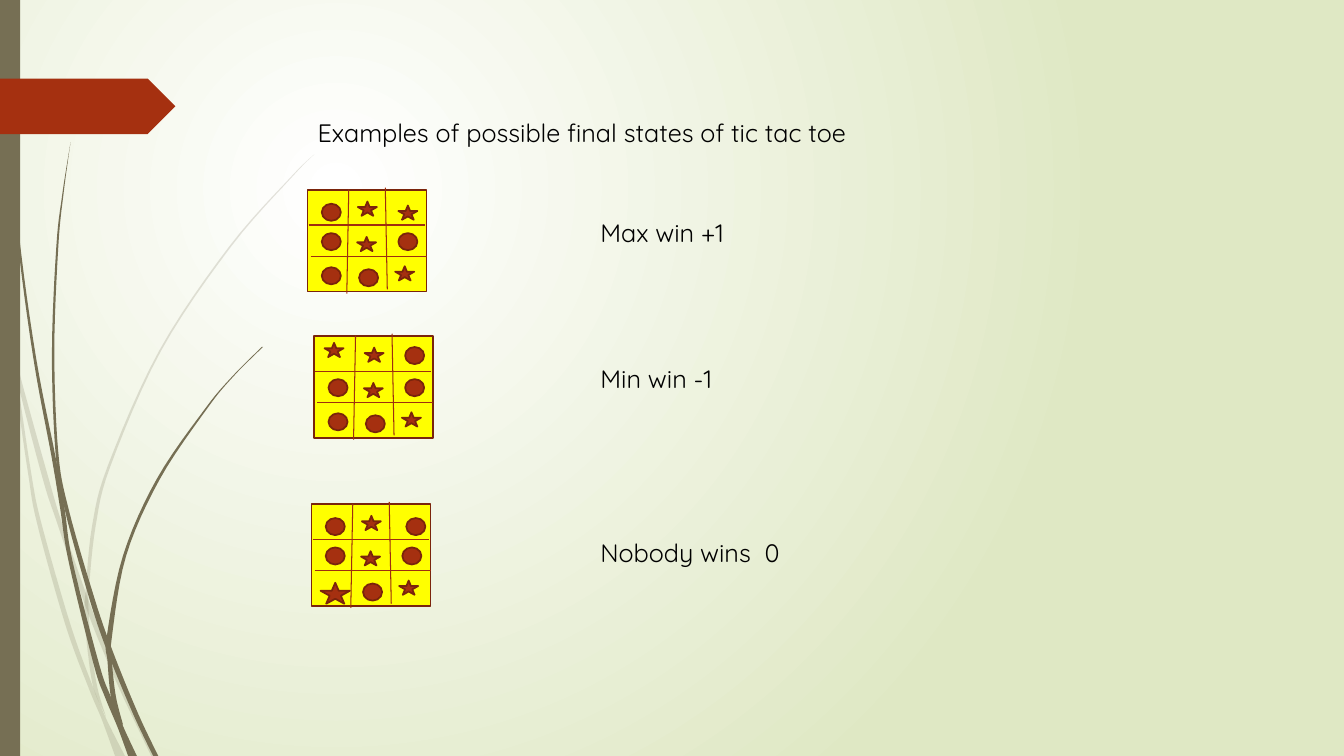
from dataclasses import dataclass, field

from lxml import etree
from pptx import Presentation
from pptx.dml.color import RGBColor
from pptx.enum import shapes as sh, text
from pptx.oxml import ns
from pptx.util import Cm, Pt

COLORS = {
    "paper": "FFFFFF", "sage": "DFE8C4", "olive": "766F54", "rust": "A53010",
    "outline": "7A240C", "grid": "9E2E0F", "board": "FFFF00", "text": "000000",
}
FONT = "Quicksand"
KIND = sh.MSO_SHAPE

# Board geometry, relative to the board's top left corner (cm)
BOARD_SIZE = (3.0, 2.57)
GRID_LINES = [
    (1.04, 0, 0.99, 2.62), (1.96, -0.05, 2.01, 2.51),
    (0.03, 0.89, 2.95, 0.89), (0.08, 1.68, 3.0, 1.68),
]
CELL_CENTERS = [
    (0.6, 0.57), (1.51, 0.48), (2.53, 0.58),
    (0.6, 1.31), (1.49, 1.37), (2.53, 1.31),
    (0.6, 2.17), (1.54, 2.22), (2.45, 2.11),
]


@dataclass
class Mark:
    kind: sh.MSO_SHAPE
    width: float
    height: float


@dataclass
class Board:
    left: float
    top: float
    marks: str
    label: str
    label_top: float
    moved: dict[int, tuple[float, float]] = field(default_factory=dict)


@dataclass
class Blade:
    """A grass blade: rows of (y, left edge, right edge) in cm, from tip to root."""
    rows: list[tuple[float, float, float]]
    opacity: int = 100


MARKS = {
    "O": Mark(KIND.OVAL, 0.48, 0.43),
    "X": Mark(KIND.STAR_5_POINT, 0.48, 0.36),
    "L": Mark(KIND.STAR_5_POINT, 0.74, 0.53),
}
BOARDS = [
    Board(7.75, 4.78, "OXXOXOOOX", "Max win +1", 5.36),
    Board(7.92, 8.46, "XXOOXOOOX", "Min win -1", 9.02, {0: (0.5, 0.36), 2: (2.53, 0.5)}),
    Board(7.85, 12.7, "OXOOXOLOX", "Nobody wins  0", 13.41, {2: (2.63, 0.57), 6: (0.6, 2.25)}),
]
BLADES = [
    Blade([(7.37, 0, 0.05), (8.89, 0.25, 0.3), (9.55, 0.36, 0.43), (11.94, 0.71, 0.79),
           (13.21, 0.94, 1.05), (15.75, 1.65, 1.78), (17.35, 2.24, 2.36),
           (18.14, 2.57, 2.69), (19.05, 2.9, 3.15)], 20),
    Blade([(8.76, 0.36, 0.36), (9.55, 0.43, 0.53), (12.04, 1.07, 1.22), (13.21, 1.45, 1.57),
           (15.21, 2.13, 2.26), (16.51, 2.64, 2.79), (17.6, 3.12, 3.25),
           (19.05, 3.81, 3.94)], 20),
    Blade([(3.89, 7.92, 7.92), (4.45, 7.34, 7.37), (6.22, 5.77, 5.82), (8.84, 4.01, 4.06),
           (11.73, 2.72, 2.79), (13.26, 2.32, 2.41), (14.88, 2.16, 2.24), (15.49, 2.13, 2.24),
           (16.41, 2.21, 2.31), (17.35, 2.36, 2.46), (18.06, 2.67, 2.67)], 20),
    Blade([(2.79, 0.18, 0.2), (5.92, 0.43, 0.48), (9.02, 0.84, 0.91), (11.51, 1.3, 1.4),
           (12.83, 1.52, 1.63), (14.15, 1.73, 1.83), (16.74, 2.36, 2.5), (17.55, 2.64, 2.79),
           (18.34, 2.97, 3.12), (19.05, 3.23, 3.45)]),
    Blade([(3.58, 1.78, 1.78), (4.9, 1.57, 1.6), (6.22, 1.42, 1.47), (8.86, 1.31, 1.37),
           (11.4, 1.4, 1.47), (12.83, 1.63, 1.73), (15.04, 2.24, 2.37), (16.38, 2.69, 2.83),
           (17.98, 3.35, 3.48), (19.05, 3.86, 3.99)]),
    Blade([(8.74, 6.6, 6.63), (9.5, 5.84, 5.87), (10.31, 5.16, 5.21), (12.07, 3.95, 4.03),
           (14.0, 3.1, 3.18), (16.05, 2.69, 2.82), (16.66, 2.71, 2.82), (17.55, 2.79, 2.92),
           (18.26, 2.95, 3.1)]),
]


def rgb(name: str) -> RGBColor:
    return RGBColor.from_string(COLORS[name])


def paint(sp, fill: str, line: str | None = None, width: float = 1.25) -> None:
    sp.shadow.inherit = False
    sp.fill.solid()
    sp.fill.fore_color.rgb = rgb(fill)
    if line:
        sp.line.color.rgb = rgb(line)
        sp.line.width = Pt(width)
    else:
        sp.line.fill.background()


def add_shape(shapes, kind, left: float, top: float, width: float, height: float,
              fill: str, line: str | None = None) -> None:
    sp = shapes.add_shape(kind, Cm(left), Cm(top), Cm(width), Cm(height))
    paint(sp, fill, line)


def set_text(sp, content: str, *, left: float, top: float, width: float,
             height: float = 1.02, size: float = 18) -> None:
    sp.left, sp.top, sp.width, sp.height = Cm(left), Cm(top), Cm(width), Cm(height)
    tf = sp.text_frame
    tf.word_wrap = True
    tf.auto_size = text.MSO_AUTO_SIZE.SHAPE_TO_FIT_TEXT
    tf.vertical_anchor = text.MSO_ANCHOR.TOP
    p = tf.paragraphs[0]
    p.alignment = text.PP_ALIGN.LEFT
    r = p.add_run()
    r.text = content
    r.font.name, r.font.size, r.font.color.rgb = FONT, Pt(size), rgb("text")


def set_background(s) -> None:
    """Radial gradient centred in the upper left quarter."""
    fill = s.background.fill
    fill.gradient()
    for stop, name in zip(fill.gradient_stops, ("paper", "sage")):
        stop.color.rgb = rgb(name)
    grad = s.element.xpath(".//a:gradFill")[0]
    grad.remove(grad.find(ns.qn("a:lin")))
    circle = etree.SubElement(grad, ns.qn("a:path"), {"path": "circle"})
    etree.SubElement(circle, ns.qn("a:fillToRect"),
                     {"l": "50000", "t": "50000", "r": "100000", "b": "100000"})


def smooth(rows: list[tuple[float, ...]], steps: int = 6) -> list[tuple[float, ...]]:
    """Catmull-Rom curve through the rows."""
    ends = [rows[0], *rows, rows[-1]]
    curve = []
    for quad in zip(ends, ends[1:], ends[2:], ends[3:]):
        for t in (i / steps for i in range(steps)):
            curve.append(tuple(
                b + t * (c - a) / 2 + t**2 * (2*a - 5*b + 4*c - d) / 2
                + t**3 * (3*b - a - 3*c + d) / 2
                for a, b, c, d in zip(*quad)))
    return curve + [rows[-1]]


def add_blade(shapes, blade: Blade) -> None:
    rows = smooth(blade.rows)
    outline = [(Cm(left), Cm(y)) for y, left, _ in rows]
    outline += [(Cm(right), Cm(y)) for y, _, right in reversed(rows)]
    fb = shapes.build_freeform(*outline[0])
    fb.add_line_segments(outline[1:], close=True)
    sp = fb.convert_to_shape()
    paint(sp, "olive")
    if blade.opacity < 100:
        color = sp.element.spPr.find(".//" + ns.qn("a:srgbClr"))
        etree.SubElement(color, ns.qn("a:alpha"), {"val": str(blade.opacity * 1000)})


def add_board(shapes, board: Board) -> None:
    group = shapes.add_group_shape().shapes
    x, y = board.left, board.top
    add_shape(group, KIND.RECTANGLE, x, y, *BOARD_SIZE, "board", "outline")
    for x1, y1, x2, y2 in GRID_LINES:
        ln = group.add_connector(sh.MSO_CONNECTOR.STRAIGHT,
                                 Cm(x + x1), Cm(y + y1), Cm(x + x2), Cm(y + y2))
        ln.line.color.rgb, ln.line.width = rgb("grid"), Pt(0.75)
        etree.SubElement(ln.element.spPr, ns.qn("a:effectLst"))
    for cell, symbol in enumerate(board.marks):
        mark = MARKS[symbol]
        cx, cy = board.moved.get(cell, CELL_CENTERS[cell])
        add_shape(group, mark.kind, x + cx - mark.width / 2, y + cy - mark.height / 2,
                  mark.width, mark.height, "rust", "outline")
    label = shapes.add_textbox(0, 0, 0, 0)
    set_text(label, board.label, left=14.88, top=board.label_top, width=8.86)


def main() -> None:
    prs = Presentation()
    prs.slide_width, prs.slide_height = Cm(33.87), Cm(19.05)
    s = prs.slides.add_slide(prs.slide_layouts[5])
    set_background(s)
    for blade in BLADES:
        add_blade(s.shapes, blade)
    add_shape(s.shapes, KIND.RECTANGLE, 0, 0, 0.51, 19.05, "olive")
    add_shape(s.shapes, KIND.PENTAGON, 0, 1.98, 4.42, 1.4, "rust")
    set_text(s.shapes.title, "Examples of possible final states of tic tac toe",
             left=7.75, top=2.82, width=19.91)
    for board in BOARDS:
        add_board(s.shapes, board)
    prs.save("out.pptx")


if __name__ == "__main__":
    main()
